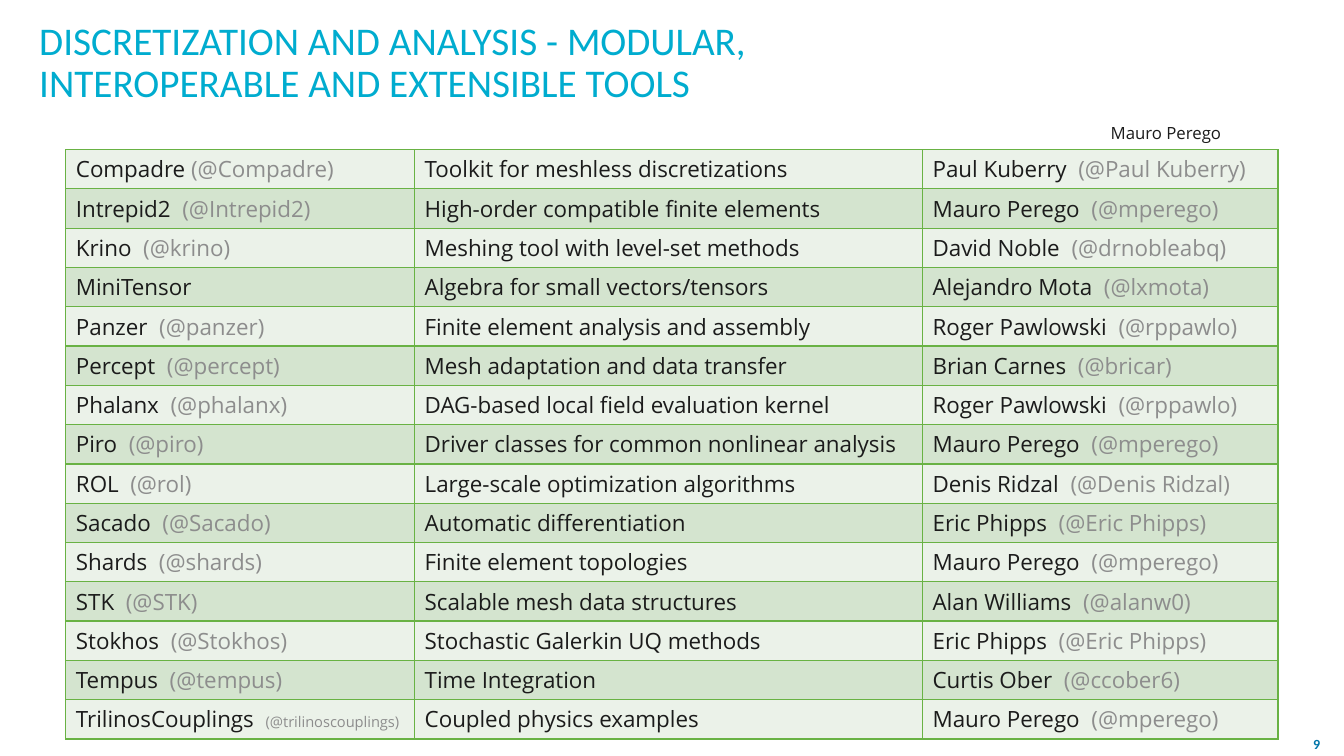
from lxml.etree import SubElement
from pptx import Presentation
from pptx.dml.color import RGBColor
from pptx.enum.text import MSO_ANCHOR, PP_ALIGN
from pptx.oxml.ns import qn
from pptx.util import Cm, Pt

INK, GREY, GREEN = "1B1B1B", "8D8D8D", "69B244"
BANDS = ("EBF2E9", "D4E4CF")

# Package, purpose, lead
PACKAGES = [
    ("Compadre (@Compadre)", "Toolkit for meshless discretizations", "Paul Kuberry  (@Paul Kuberry)"),
    ("Intrepid2  (@Intrepid2)", "High-order compatible finite elements", "Mauro Perego  (@mperego)"),
    ("Krino  (@krino)", "Meshing tool with level-set methods", "David Noble  (@drnobleabq)"),
    ("MiniTensor", "Algebra for small vectors/tensors", "Alejandro Mota  (@lxmota)"),
    ("Panzer  (@panzer)", "Finite element analysis and assembly", "Roger Pawlowski  (@rppawlo)"),
    ("Percept  (@percept)", "Mesh adaptation and data transfer", "Brian Carnes  (@bricar)"),
    ("Phalanx  (@phalanx)", "DAG-based local field evaluation kernel", "Roger Pawlowski  (@rppawlo)"),
    ("Piro  (@piro)", "Driver classes for common nonlinear analysis", "Mauro Perego  (@mperego)"),
    ("ROL  (@rol)", "Large-scale optimization algorithms", "Denis Ridzal  (@Denis Ridzal)"),
    ("Sacado  (@Sacado)", "Automatic differentiation", "Eric Phipps  (@Eric Phipps)"),
    ("Shards  (@shards)", "Finite element topologies", "Mauro Perego  (@mperego)"),
    ("STK  (@STK)", "Scalable mesh data structures", "Alan Williams  (@alanw0)"),
    ("Stokhos  (@Stokhos)", "Stochastic Galerkin UQ methods", "Eric Phipps  (@Eric Phipps)"),
    ("Tempus  (@tempus)", "Time Integration", "Curtis Ober  (@ccober6)"),
    ("TrilinosCouplings  (@trilinoscouplings)", "Coupled physics examples", "Mauro Perego  (@mperego)"),
]


def rgb(value):
    return RGBColor.from_string(value)


def set_font(font, name, size, color, bold=False):
    font.name, font.size, font.bold = name, Pt(size), bold
    font.color.rgb = rgb(color)


def add_text(s, box, text, name, size, color, bold=False, wrap=True,
             align=PP_ALIGN.LEFT, anchor=MSO_ANCHOR.MIDDLE):
    tf = s.shapes.add_textbox(*map(Cm, box)).text_frame
    tf.word_wrap = wrap
    tf.vertical_anchor = anchor
    p = tf.paragraphs[0]
    p.text, p.alignment = text, align
    set_font(p.font, name, size, color, bold)
    return tf


def add_title(s, box):
    tf = add_text(s, box, "DISCRETIZATION AND ANALYSIS - MODULAR, "
                  "INTEROPERABLE AND EXTENSIBLE TOOLS", "Calibri", 28, "00ACCF")
    tf.margin_left = tf.margin_right = tf.margin_top = tf.margin_bottom = 0
    tf.paragraphs[0].line_spacing = 0.9


def add_borders(cell, color, width):
    tcPr = cell._tc.get_or_add_tcPr()
    for side in ("a:lnL", "a:lnR", "a:lnT", "a:lnB"):
        ln = SubElement(tcPr, qn(side), w=str(Pt(width)))
        SubElement(SubElement(ln, qn("a:solidFill")), qn("a:srgbClr"), val=color)


def fill_cell(cell, text, band):
    # Borders come before the fill in the cell properties
    add_borders(cell, GREEN, 1)
    cell.fill.solid()
    cell.fill.fore_color.rgb = rgb(band)
    cell.vertical_anchor = MSO_ANCHOR.MIDDLE
    cell.margin_top = cell.margin_bottom = Cm(0.08)

    # Name in dark ink, handle in grey
    p = cell.text_frame.paragraphs[0]
    name, bracket, handle = text.partition("(")
    p.add_run().text = name
    set_font(p.font, "Open Sans", 16, INK)
    if handle:
        r = p.add_run()
        r.text = bracket + handle
        r.font.color.rgb = rgb(GREY)
        if name.startswith("TrilinosCouplings"):
            r.font.size = Pt(10.5)


def add_package_table(s, box, widths):
    table = s.shapes.add_table(len(PACKAGES), len(widths), *map(Cm, box)).table
    table.first_row = table.horz_banding = False
    for column, width in zip(table.columns, widths):
        column.width = Cm(width)
    for i, package in enumerate(PACKAGES):
        table.rows[i].height = Cm(box[3] / len(PACKAGES))
        for j, text in enumerate(package):
            fill_cell(table.cell(i, j), text, BANDS[i % 2])


def main():
    prs = Presentation()
    prs.slide_width, prs.slide_height = Cm(33.87), Cm(19.05)
    s = prs.slides.add_slide(prs.slide_layouts[6])

    # Page number
    add_text(s, (32.51, 18.44, 1.35, 0.61), "9", "Calibri", 10, "0075A9",
             bold=True, align=PP_ALIGN.CENTER)
    # Heading and presenter
    add_title(s, (0.99, 0.66, 23.44, 1.88))
    add_text(s, (27.74, 2.97, 3.33, 0.76), "Mauro Perego", "Open Sans", 12, INK,
             wrap=False, anchor=MSO_ANCHOR.TOP)
    # Packages
    add_package_table(s, (1.66, 3.77, 30.55, 14.86), (8.79, 12.8, 8.96))

    prs.save("out.pptx")


if __name__ == "__main__":
    main()
